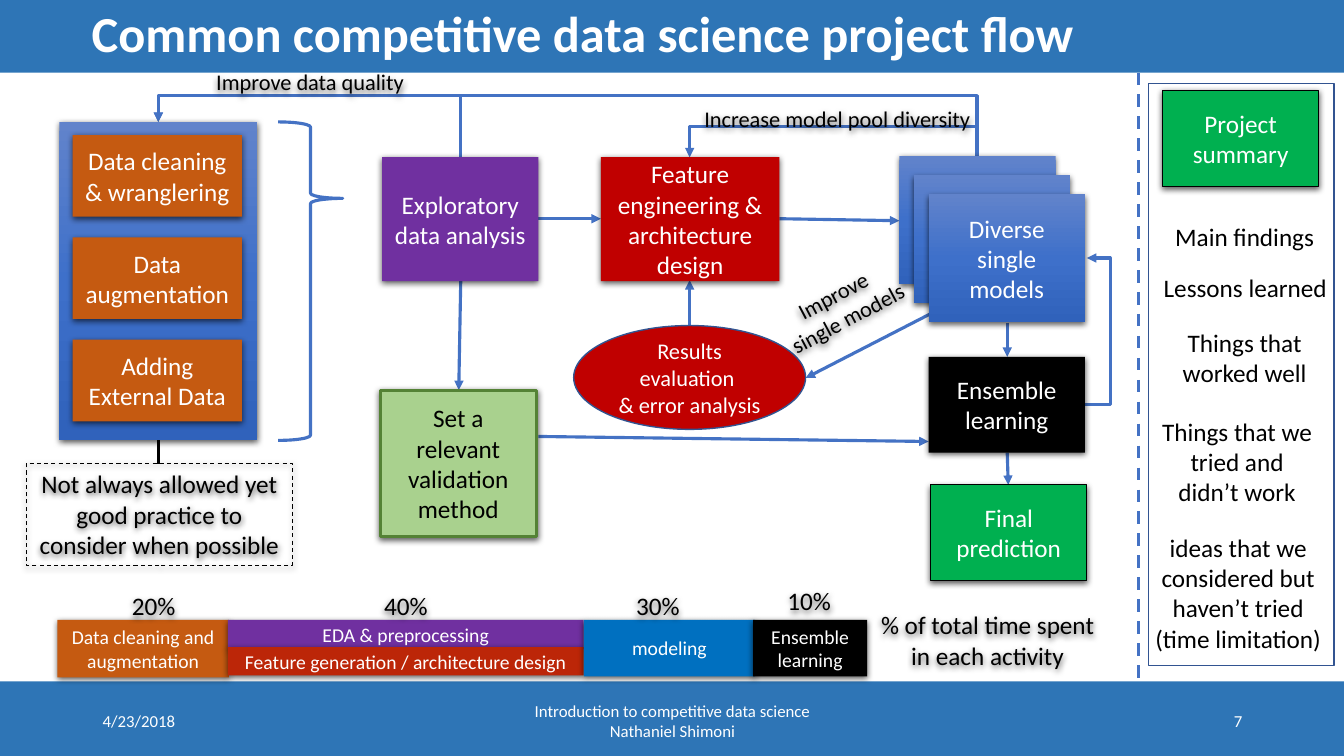
from copy import deepcopy
from dataclasses import dataclass
from typing import Optional

from lxml import etree
from pptx import Presentation
from pptx import util as u
from pptx.dml import color
from pptx.enum import dml, shapes, text
from pptx.oxml import ns

FONT = "Calibri"
WHITE, BLACK = "FFFFFF", "000000"
BLUE, NAVY, BAR = "4472C4", "325491", "2E75B6"
ORANGE, PURPLE, RED, GREEN = "C55A11", "7030A0", "C00000", "00B050"
GRADIENT = ("6183CB", "3E70CA", "3062BB")
CENTER, LEFT, RIGHT = text.PP_ALIGN.CENTER, text.PP_ALIGN.LEFT, text.PP_ALIGN.RIGHT
TOP, MIDDLE = text.MSO_ANCHOR.TOP, text.MSO_ANCHOR.MIDDLE
RECTANGLE = shapes.MSO_SHAPE.RECTANGLE


@dataclass
class Box:
    words: str
    left: float
    top: float
    width: float
    height: float
    fill: Optional[str] = None
    gradient: bool = False
    line: Optional[str] = None
    line_width: float = 0.75
    dashed: bool = False
    shadow: bool = True
    size: int = 18
    ink: str = WHITE
    anchor: text.MSO_ANCHOR = MIDDLE
    preset: shapes.MSO_SHAPE = RECTANGLE


@dataclass
class Label:
    words: str
    left: float
    top: float
    width: float
    height: float
    size: int = 18
    ink: str = BLACK
    align: text.PP_ALIGN = CENTER
    anchor: text.MSO_ANCHOR = TOP
    shadow: bool = False
    rotation: float = 0


@dataclass
class Arrow:
    x1: float
    y1: float
    x2: float
    y2: float
    ink: str = BLUE
    rail_x: Optional[float] = None
    rail_y: Optional[float] = None


def rgb(value: str) -> color.RGBColor:
    return color.RGBColor.from_string(value)


def child(parent, tag: str, **attributes):
    return etree.SubElement(parent, ns.qn(tag), attributes)


def write(shape, words: str, size: int, ink: str, align=CENTER, anchor=MIDDLE, bold=False) -> None:
    frame = shape.text_frame
    frame.text = words
    frame.word_wrap = True
    frame.vertical_anchor = anchor
    for paragraph in frame.paragraphs:
        paragraph.alignment = align
        font = paragraph.font
        font.name, font.size, font.bold = FONT, u.Pt(size), bold
        font.color.rgb = rgb(ink)


def cast_shadow(shape) -> None:
    properties = shape._element.spPr
    effects = properties.find(ns.qn("a:effectLst"))
    if effects is None:
        effects = child(properties, "a:effectLst")
    outer = child(effects, "a:outerShdw", blurRad=str(u.Pt(4.5)), dist=str(u.Pt(1.5)),
                  dir="5400000", algn="ctr", rotWithShape="0")
    child(child(outer, "a:srgbClr", val=BLACK), "a:alpha", val="63000")


def paint_gradient(shape) -> None:
    shape.fill.gradient()
    shape.fill.gradient_angle = 270
    stop_list = next(shape._element.iter(ns.qn("a:gsLst")))
    stop_list.insert(1, deepcopy(stop_list[0]))
    for index, stop in enumerate(shape.fill.gradient_stops):
        stop.position = index / 2
        stop.color.rgb = rgb(GRADIENT[index])


def draw_box(slide, box: Box):
    shape = slide.shapes.add_shape(
        box.preset, *map(u.Inches, (box.left, box.top, box.width, box.height)))
    shape.shadow.inherit = False
    if box.gradient:
        paint_gradient(shape)
    elif box.fill:
        shape.fill.solid()
        shape.fill.fore_color.rgb = rgb(box.fill)
    else:
        shape.fill.background()
    if box.line:
        shape.line.color.rgb = rgb(box.line)
        shape.line.width = u.Pt(box.line_width)
    else:
        shape.line.fill.background()
    if box.dashed:
        shape.line.dash_style = dml.MSO_LINE.DASH
    if box.shadow:
        cast_shadow(shape)
    if box.words:
        write(shape, box.words, box.size, box.ink, anchor=box.anchor)
    return shape


def draw_label(slide, label: Label) -> None:
    shape = slide.shapes.add_textbox(
        *map(u.Inches, (label.left, label.top, label.width, label.height)))
    shape.rotation = label.rotation
    write(shape, label.words, label.size, label.ink, label.align, label.anchor)
    if label.shadow:
        cast_shadow(shape)


def draw_line(slide, arrow: Arrow, head: bool = True):
    ends = (arrow.x1, arrow.y1, arrow.x2, arrow.y2)
    bend = None
    if arrow.rail_x is not None:
        bend = (arrow.rail_x - arrow.x1) / (arrow.x2 - arrow.x1)
    if arrow.rail_y is not None:
        bend = (arrow.rail_y - arrow.y1) / (arrow.y2 - arrow.y1)
        middle_x, middle_y = (arrow.x1 + arrow.x2) / 2, (arrow.y1 + arrow.y2) / 2
        rise, run = (arrow.y1 - arrow.y2) / 2, (arrow.x2 - arrow.x1) / 2
        ends = (middle_x - rise, middle_y - run, middle_x + rise, middle_y + run)
    kind = shapes.MSO_CONNECTOR.STRAIGHT if bend is None else shapes.MSO_CONNECTOR.ELBOW
    connector = slide.shapes.add_connector(kind, *map(u.Inches, ends))
    connector.line.color.rgb = rgb(arrow.ink)
    connector.line.width = u.Pt(2.25)
    properties = connector._element.spPr
    if arrow.rail_y is not None:
        properties.find(ns.qn("a:xfrm")).set("rot", "16200000")
    if bend is not None:
        guides = next(properties.iter(ns.qn("a:avLst")))
        child(guides, "a:gd", name="adj1", fmla=f"val {round(bend * 100000)}")
    if head:
        child(properties.find(ns.qn("a:ln")), "a:tailEnd", type="triangle")
    child(properties, "a:effectLst")
    return connector


presentation = Presentation()
presentation.slide_width, presentation.slide_height = u.Inches(13.33), u.Inches(7.5)
slide = presentation.slides.add_slide(presentation.slide_layouts[5])

for bar_top in (6.76, -0.02):
    bar = draw_box(slide, Box("", 0, bar_top, 13.33, 0.74, BAR, shadow=False))
title = slide.shapes.title
title.left, title.top, title.width, title.height = map(u.Inches, (0.81, 0, 11.5, 0.72))
write(title, "Common competitive data science project flow", 36, WHITE, LEFT, bold=True)
title.text_frame.paragraphs[0].line_spacing = 0.9
bar._element.addnext(title._element)

for arrow in (
    Arrow(9.41, 3.02, 7.99, 3.75),
    Arrow(1.57, 4.6, 1.57, 4.18, BLACK),
    Arrow(5.34, 2.17, 5.96, 2.17),
    Arrow(7.73, 2.17, 8.92, 2.19),
    Arrow(5.34, 4.33, 9.21, 4.38),
    Arrow(9.99, 4.49, 10, 4.81),
    Arrow(9.99, 3.2, 9.99, 3.54),
    Arrow(4.57, 2.78, 4.55, 3.87),
    Arrow(6.84, 3.23, 6.84, 2.78),
    Arrow(10.76, 4.01, 10.78, 2.56, rail_x=11.01),
    Arrow(9.69, 1.55, 1.57, 1.21, rail_y=0.95),
    Arrow(4.57, 1.56, 1.57, 1.21, rail_y=0.95),
    Arrow(9.69, 1.55, 6.84, 1.56, rail_y=1.25),
):
    draw_line(slide, arrow)
divider = draw_line(slide, Arrow(11.29, 0.72, 11.29, 6.78), head=False)
divider.line.dash_style = dml.MSO_LINE.DASH

draw_box(slide, Box("", 0.59, 1.21, 1.96, 3.16, gradient=True))
for index, step in enumerate(("Data cleaning & wranglering", "Data augmentation", "Adding External Data")):
    draw_box(slide, Box(step, 0.72, 1.34 + 1.015 * index, 1.68, 0.81, ORANGE))
for index, words in enumerate(("", "", "Diverse single models")):
    draw_box(slide, Box(words, 8.92 + 0.145 * index, 1.55 + 0.19 * index, 1.55, 1.27, gradient=True))

for box in (
    Box("Not always allowed yet good practice to consider when possible", 0.26, 4.6, 2.64, 1.01,
        line=BLACK, dashed=True, ink=BLACK, anchor=TOP),
    Box("Exploratory data analysis", 3.79, 1.56, 1.55, 1.23, PURPLE),
    Box("Feature engineering & architecture design", 5.96, 1.56, 1.77, 1.23, RED),
    Box("Ensemble learning", 9.21, 3.54, 1.55, 0.95, BLACK),
    Box("Final prediction", 9.23, 4.81, 1.55, 0.95, GREEN, line=BLACK),
    Box("Set a relevant validation method", 3.77, 3.87, 1.55, 1.45, "A9D18E",
        line="548235", line_width=2.25, ink=BLACK),
    Box("Project summary", 11.53, 0.9, 1.55, 0.95, GREEN, line=BLACK),
    Box("", 11.39, 0.83, 1.84, 5.77, line=NAVY, line_width=1, shadow=False),
    Box("Results evaluation \n& error analysis", 5.69, 3.23, 2.3, 1.03, RED, line=NAVY,
        line_width=1, shadow=False, size=16, preset=shapes.MSO_SHAPE.OVAL),
    Box("Data cleaning and augmentation", 0.57, 6.15, 1.7, 0.57, ORANGE, size=14),
    Box("EDA & preprocessing", 2.26, 6.15, 3.53, 0.29, PURPLE, size=14),
    Box("Feature generation / architecture design", 2.26, 6.42, 3.53, 0.28, "BC2608", size=14),
    Box("modeling", 5.79, 6.15, 1.7, 0.56, "0070C0", size=14),
    Box("Ensemble learning", 7.47, 6.15, 1.13, 0.56, BLACK, size=14),
):
    draw_box(slide, box)
brace = draw_box(slide, Box("", 2.76, 1.21, 0.64, 3.16, line=BLUE, line_width=2.25, shadow=False,
                            preset=shapes.MSO_SHAPE.RIGHT_BRACE))
brace.adjustments[0], brace.adjustments[1] = 0.08, 0.24

for share, left, top in (("20%", 1.2, 5.81), ("40%", 3.7, 5.81), ("30%", 6.2, 5.81), ("10%", 7.7, 5.76)):
    draw_label(slide, Label(share, left, top, 0.65, 0.4, shadow=True))
for label in (
    Label("Main findings", 11.53, 2.15, 1.63, 0.4),
    Label("Lessons learned", 11.39, 2.65, 1.92, 0.4),
    Label("Things that worked well", 11.53, 3.2, 1.63, 0.71),
    Label("Things that we tried and didn’t work", 11.39, 4.08, 1.76, 1.01),
    Label("ideas that we considered but haven’t tried (time limitation)", 11.32, 5.23, 1.92, 1.31),
    Label("% of total time spent in each activity", 8.6, 6, 2.39, 0.71, shadow=True),
    Label("Increase model pool diversity", 6.71, 0.99, 3.19, 0.37, 16, shadow=True),
    Label("Improve \nsingle models", 6.75, 2.72, 3.19, 0.64, 16, shadow=True, rotation=332.1),
    Label("Improve data quality", 1.48, 0.63, 3.19, 0.37, 16, shadow=True),
    Label("4/23/2018", 0.92, 6.95, 3, 0.4, 12, WHITE, LEFT, MIDDLE),
    Label("Introduction to competitive data science\nNathaniel Shimoni", 4.42, 6.95, 4.5, 0.4,
          12, WHITE, CENTER, MIDDLE),
    Label("7", 9.42, 6.95, 3, 0.4, 12, WHITE, RIGHT, MIDDLE),
):
    draw_label(slide, label)

presentation.save("out.pptx")
